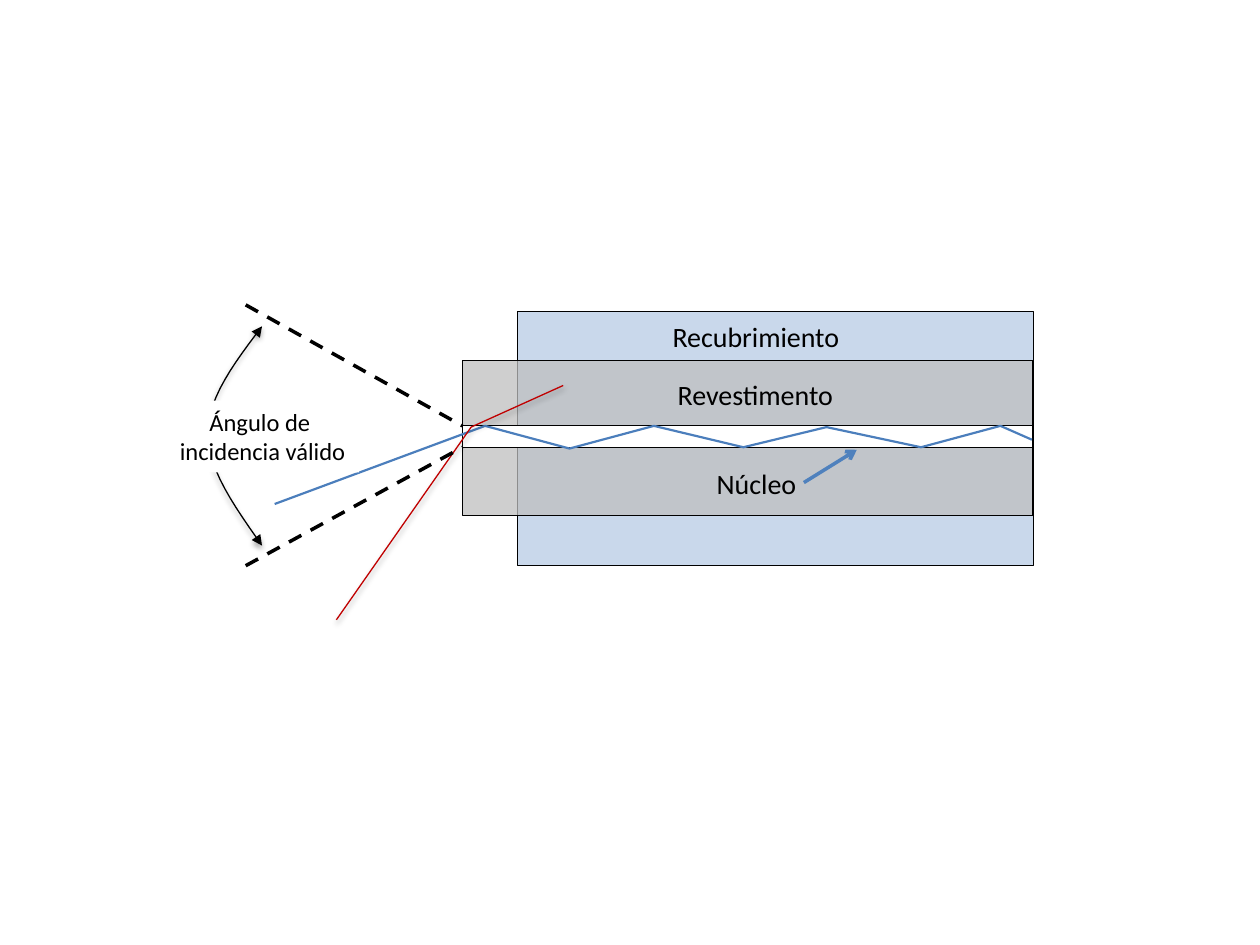
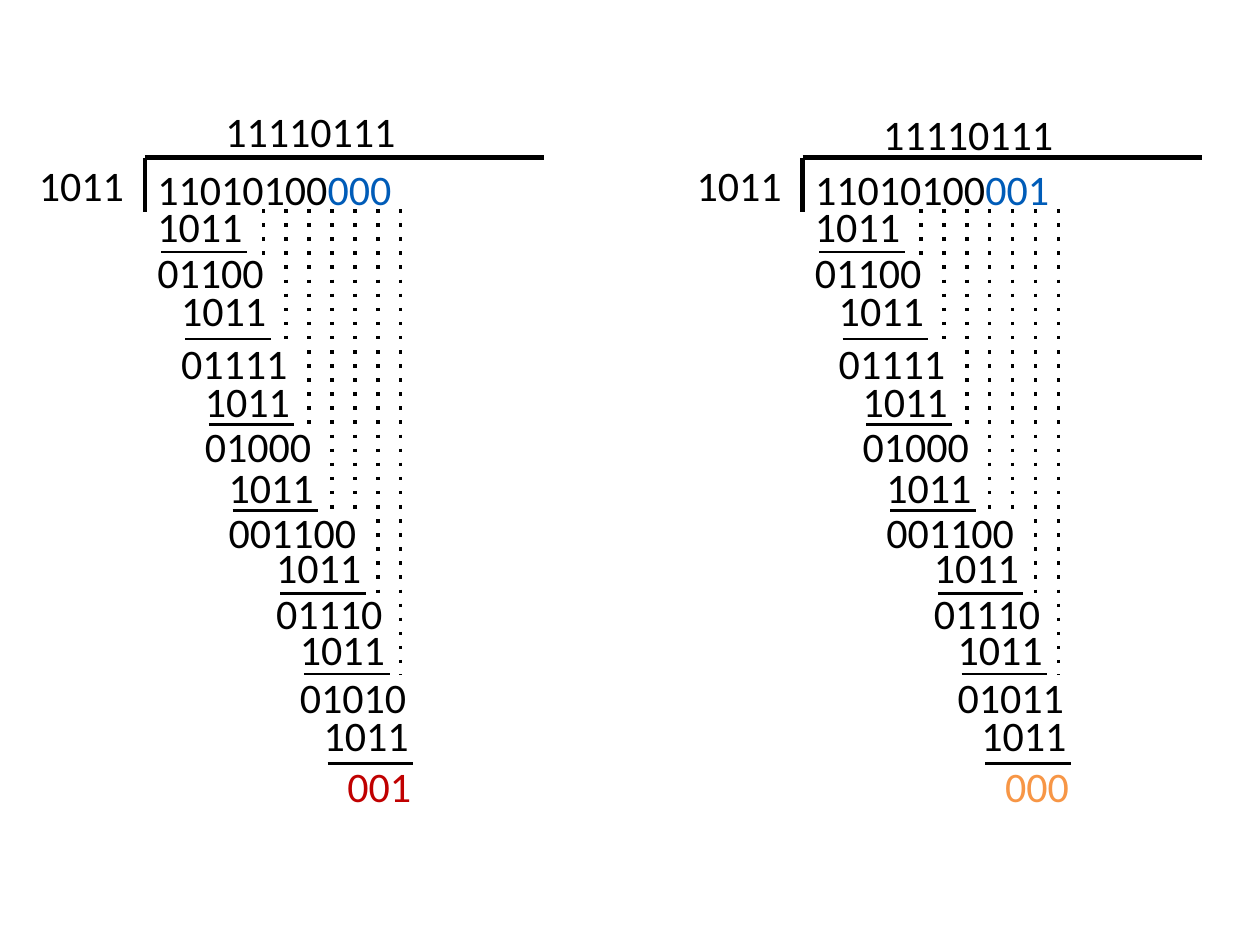
import pptx
import pptx.util
import pptx.dml.color
import pptx.enum.shapes
import pptx.enum.text
import pptx.oxml
import pptx.oxml.ns

Inches = pptx.util.Inches
Pt = pptx.util.Pt
RGBColor = pptx.dml.color.RGBColor
qn = pptx.oxml.ns.qn

BLACK = RGBColor(0x00, 0x00, 0x00)
WHITE = RGBColor(0xFF, 0xFF, 0xFF)
BLUE = RGBColor(0x4F, 0x81, 0xBD)
RAY = RGBColor(0x4B, 0x7E, 0xBC)
GREY = RGBColor(0xBF, 0xBF, 0xBF)
RED = RGBColor(0xC0, 0x00, 0x00)
CODE = RGBColor(0x00, 0x5C, 0xB8)
ORANGE = RGBColor(0xF7, 0x96, 0x46)
FONT = "Calibri"

# Fibre: left, top, width, height, fill, opacity in percent
COATING = (4.11, 2.47, 4.09, 2.02, BLUE, 30)
CLADDING = (3.67, 2.86, 4.53, 1.23, GREY, 74)
CORE = (3.67, 3.38, 4.53, 0.17, WHITE, 100)
NAMES = [
    ("Recubrimiento", 5.24, 2.49, 1.54),
    ("Revestimento", 5.28, 2.95, 1.45),
    ("Núcleo", 5.59, 3.65, 0.84),
]
POINTER = ((6.38, 3.83), (6.8, 3.57))
GUIDED = [(2.18, 4), (3.85, 3.38), (4.52, 3.56), (5.19, 3.38), (5.9, 3.55),
          (6.56, 3.39), (7.31, 3.55), (7.94, 3.38), (8.19, 3.49)]
LOST = [(2.67, 4.92), (3.74, 3.39), (4.47, 3.06)]
CONE = [((1.95, 2.42), (3.67, 3.38)), ((1.95, 4.49), (3.67, 3.55))]
ARC = [((2.08, 2.59), (1.87, 2.87), (1.65, 3.15), (1.65, 3.44)),
       ((1.65, 3.44), (1.65, 3.73), (1.87, 4.03), (2.08, 4.33))]
ANGLE = "Ángulo de \vincidencia válido"

# Binary long division
DIVISOR = "1011"
QUOTIENT = "11110111"
MESSAGE = "11010100"
STEPS = [  # digit column, top of divisor, rule, top of remainder
    (0, 1.54, 2, 1.91),
    (1, 2.21, 2.69, 2.63),
    (2, 2.93, 3.37, 3.29),
    (3, 3.61, 4.05, 3.97),
    (5, 4.25, 4.71, 4.61),
    (6, 4.9, 5.35, 5.28),
    (7, 5.58, 6.06, 5.99),
]
RESTS = ["01100", "01111", "01000", "001100", "01110"]
DROPS = [2.03, 2.77, 3.37, 4.04, 4.05, 4.71, 5.35]
SUMS = [
    {"left": 1.15, "top": 0.79, "tail": "000", "ends": ["01010", "001"], "color": RED},
    {"left": 6.37, "top": 0.81, "tail": "001", "ends": ["01011", "000"], "color": ORANGE},
]
DIGIT = 1.32 / 7
DROP_GAP = 1.09 / 6


def add_mark(parent, tag, **values):
    mark = pptx.oxml.ns.qn(tag)
    child = parent.makeelement(mark, values)
    parent.append(child)
    return child


def draw_line(shape, color, width, dash=None, head=None, tail=None):
    shape.line.color.rgb = color
    shape.line.width = Pt(width)
    ln = shape.element.spPr.find(qn("a:ln"))
    if dash:
        add_mark(ln, "a:prstDash", val=dash)
    for tag, kind in (("a:headEnd", head), ("a:tailEnd", tail)):
        if kind:
            add_mark(ln, tag, type=kind)


def add_line(slide, start, end, color=BLACK, width=1.5, **ends):
    line = slide.shapes.add_connector(
        pptx.enum.shapes.MSO_CONNECTOR.STRAIGHT, *map(Inches, start + end))
    draw_line(line, color, width, **ends)
    add_mark(line.element.spPr, "a:effectLst")


def add_path(slide, points, color, width, shadow=False, **ends):
    spots = [(Inches(x), Inches(y)) for x, y in points]
    pen = slide.shapes.build_freeform(*spots[0])
    pen.add_line_segments(spots[1:], close=False)
    shape = pen.convert_to_shape()
    shape.fill.background()
    draw_line(shape, color, width, **ends)
    shape.shadow.inherit = False
    if shadow:
        glow = add_mark(shape.element.spPr.find(qn("a:effectLst")), "a:outerShdw",
                        blurRad="40000", dist="23000", dir="5400000", rotWithShape="0")
        tint = add_mark(glow, "a:srgbClr", val=str(BLACK))
        add_mark(tint, "a:alpha", val="35000")


def add_block(slide, left, top, width, height, color, alpha):
    block = slide.shapes.add_shape(pptx.enum.shapes.MSO_SHAPE.RECTANGLE,
                                   *map(Inches, (left, top, width, height)))
    block.shadow.inherit = False
    block.fill.solid()
    block.fill.fore_color.rgb = color
    if alpha < 100:
        tint = block.element.spPr.find(qn("a:solidFill"))[0]
        add_mark(tint, "a:alpha", val=str(alpha * 1000))
    draw_line(block, BLACK, 0.75)


def add_text(slide, parts, left, top, width, height, size):
    """Place one paragraph made of (words, colour) parts; \\v breaks the line."""
    box = slide.shapes.add_textbox(*map(Inches, (left, top, width, height)))
    frame = box.text_frame
    frame.word_wrap = False
    frame.auto_size = pptx.enum.text.MSO_AUTO_SIZE.SHAPE_TO_FIT_TEXT
    para = frame.paragraphs[0]
    for words, color in parts:
        for row, chunk in enumerate(words.split("\v")):
            if row:
                para.add_line_break()
            run = para.add_run()
            run.text = chunk
            for key, value in {"name": FONT, "size": Pt(size)}.items():
                setattr(run.font, key, value)
            run.font.color.rgb = color
    return box


def trace(curves, count=12):
    """Return points along joined cubic Bézier curves."""
    points = [curves[0][0]]
    for a, b, c, d in curves:
        for step in range(1, count + 1):
            t = step / count
            u = 1 - t
            points.append(tuple(
                u**3 * p + 3 * u * u * t * q + 3 * u * t * t * r + t**3 * s
                for p, q, r, s in zip(a, b, c, d)))
    return points


def draw_fibre(slide):
    add_block(slide, *COATING)
    add_block(slide, *CLADDING)
    for name, left, top, width in NAMES:
        add_text(slide, [(name, BLACK)], left, top, width, 0.37, 16)
    add_line(slide, *POINTER, color=BLUE, width=2, tail="arrow")
    add_block(slide, *CORE)
    add_path(slide, GUIDED, RAY, 1.25)
    add_path(slide, LOST, RED, 0.75, shadow=True)
    for start, end in CONE:
        add_line(slide, start, end, width=2, dash="dash")
    add_path(slide, trace(ARC), BLACK, 0.75, shadow=True,
             head="triangle", tail="triangle")
    label = add_text(slide, [(ANGLE, BLACK)], 1.32, 3.18, 1.53, 0.57, 14)
    label.fill.solid()
    label.fill.fore_color.rgb = WHITE
    label.text_frame.paragraphs[0].alignment = pptx.enum.text.PP_ALIGN.CENTER


def add_bits(slide, left, top, *parts):
    count = sum(len(bits) for bits, color in parts)
    add_text(slide, parts, left, top, 0.2 + 0.185 * count, 0.5, 24)


def draw_sum(slide, left, top, tail, ends, color):
    add_bits(slide, left - 0.94, 1.22, (DIVISOR, BLACK))
    add_bits(slide, left + 0.54, top, (QUOTIENT, BLACK))
    add_bits(slide, left, 1.25, (MESSAGE, BLACK), (tail, CODE))
    for end in ((left, 1.68), (left + 3.17, 1.25)):
        add_line(slide, (left, 1.25), end, width=2.5)

    rests = RESTS + ends
    for (column, upper, rule, lower), rest in zip(STEPS, rests):
        x = left + column * DIGIT
        last = rest is rests[-1]
        add_bits(slide, x, upper, (DIVISOR, BLACK))
        add_line(slide, (x + 0.13, rule), (x + 0.81, rule))
        add_bits(slide, x + DIGIT * last, lower, (rest, color if last else BLACK))

    for place, bottom in enumerate(DROPS):
        x = left + 0.94 + place * DROP_GAP
        add_line(slide, (x, 1.66), (x, bottom), width=2, dash="dot")


def main():
    deck = pptx.Presentation()
    deck.slide_width, deck.slide_height = Inches(10), Inches(7.5)
    blank = deck.slide_layouts[6]
    draw_fibre(deck.slides.add_slide(blank))
    slide = deck.slides.add_slide(blank)
    for values in SUMS:
        draw_sum(slide, **values)
    deck.save("out.pptx")


if __name__ == "__main__":
    main()
